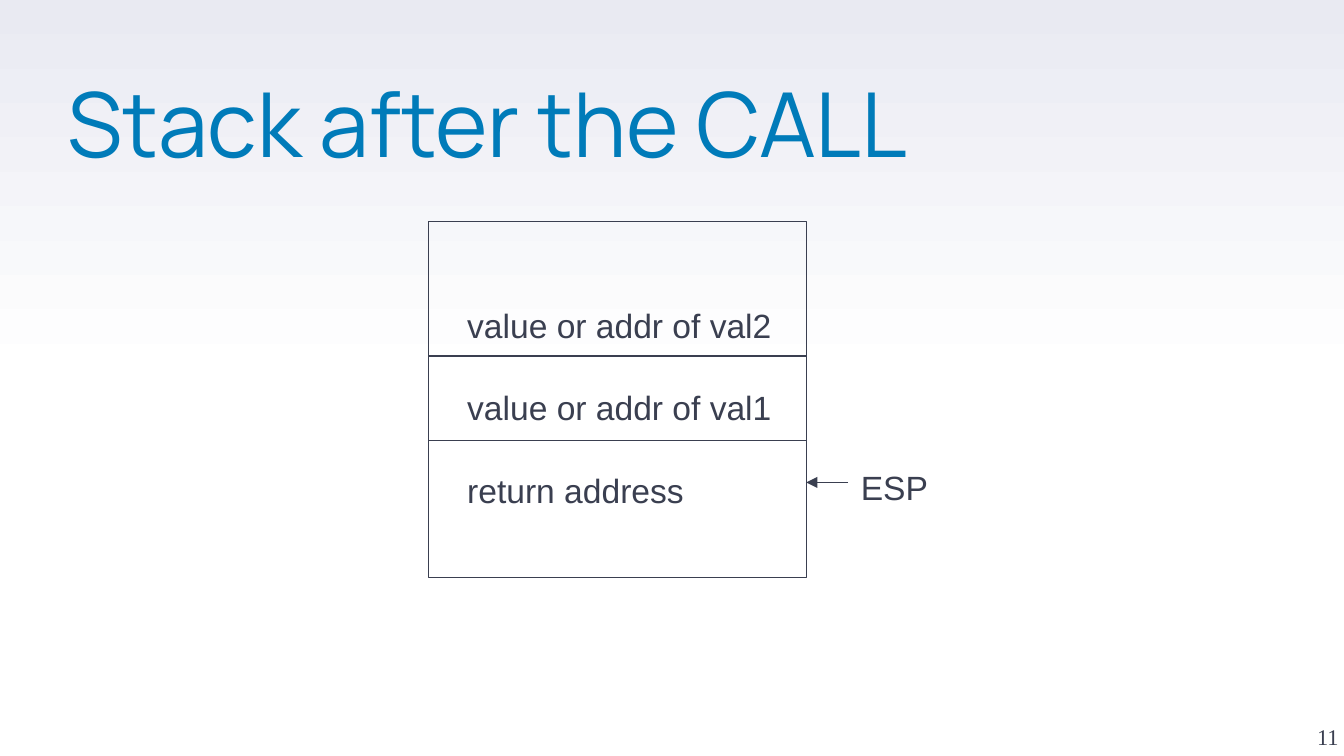
"""Build a slide that shows the stack after a CALL instruction."""
from lxml.etree import SubElement
from pptx import Presentation
from pptx.dml.color import RGBColor
from pptx.enum.shapes import MSO_CONNECTOR as CONN, MSO_SHAPE as SHAPE
from pptx.enum.text import MSO_ANCHOR as ANCHOR, MSO_AUTO_SIZE as AUTO, PP_ALIGN as ALIGN
from pptx.oxml.ns import qn
from pptx.util import Cm, Pt

BLUE = RGBColor(0x00, 0x7B, 0xB9)
INK = RGBColor(0x3A, 0x3F, 0x50)
WHITE = RGBColor(0xFF, 0xFF, 0xFF)
LAVENDER = RGBColor(0xE9, 0xEA, 0xF2)

HEADING = {"name": "Manrope", "size": Pt(48)}
BODY = {"name": "Arial", "size": Pt(18)}
NUMBER = {"name": "Times New Roman", "size": Pt(12)}


class StackSlide:
    def __init__(self, prs):
        self.s = prs.slides.add_slide(prs.slide_layouts[5])
        self.line_width = Pt(0.75)

    def background(self):
        fill = self.s.background.fill
        fill.gradient()
        fill.gradient_angle = 90
        for stop, pos, color in zip(fill.gradient_stops, (0.5, 1), (WHITE, LAVENDER)):
            stop.position = pos
            stop.color.rgb = color

    def fill_text(self, sp, lines, font, color=INK, anchor=ANCHOR.TOP, wrap=True, **para):
        tf = sp.text_frame
        frame = {"word_wrap": wrap, "auto_size": AUTO.NONE, "vertical_anchor": anchor,
                 "margin_left": 0, "margin_top": 0, "margin_right": 0, "margin_bottom": 0}
        for key, value in frame.items():
            setattr(tf, key, value)
        tf.text = "\n".join(lines)
        for p in tf.paragraphs:
            for key, value in para.items():
                setattr(p, key, value)
            r = p.runs[0]
            for key, value in font.items():
                setattr(r.font, key, value)
            r.font.color.rgb = color

    def title(self, text, x, y, w, h):
        sp = self.s.shapes.title
        sp.left, sp.top, sp.width, sp.height = Cm(x), Cm(y), Cm(w), Cm(h)
        self.fill_text(sp, [text], HEADING, BLUE, alignment=ALIGN.LEFT, line_spacing=0.8)

    def text(self, lines, x, y, w, h, font=BODY, **style):
        sp = self.s.shapes.add_textbox(Cm(x), Cm(y), Cm(w), Cm(h))
        self.fill_text(sp, lines, font, **style)

    def box(self, x, y, w, h):
        sp = self.s.shapes.add_shape(SHAPE.RECTANGLE, Cm(x), Cm(y), Cm(w), Cm(h))
        sp.shadow.inherit = False
        sp.fill.background()
        sp.line.color.rgb = INK
        sp.line.width = self.line_width

    def line(self, x1, x2, y, arrow=False):
        cxn = self.s.shapes.add_connector(CONN.STRAIGHT, Cm(x1), Cm(y), Cm(x2), Cm(y))
        cxn.line.color.rgb = INK
        cxn.line.width = self.line_width
        sp_pr = cxn._element.spPr
        if arrow:
            SubElement(sp_pr.find(qn("a:ln")), qn("a:tailEnd"), type="triangle")
        SubElement(sp_pr, qn("a:effectLst"))


def main():
    prs = Presentation()
    prs.slide_width, prs.slide_height = Cm(25.4), Cm(14.29)
    slide = StackSlide(prs)
    slide.background()
    slide.title("Stack after the CALL", 1.27, 1.68, 22.76, 3)
    slide.text(["11"], 24.03, 12.88, 1.27, 1.3, NUMBER,
               anchor=ANCHOR.BOTTOM, alignment=ALIGN.RIGHT)

    left, top, width, height = 8.1, 4.19, 7.14, 6.73
    right = left + width
    entries = ["value or addr of val2", "value or addr of val1", "return address"]
    slide.text(entries, 8.83, 5.76, 6.2, 3.9, wrap=False, space_after=Pt(22.7))
    slide.text(["ESP"], 16.27, 8.82, 1.5, 0.75, wrap=False)
    slide.box(left, top, width, height)
    for y in (6.73, 8.33):
        slide.line(left, right, y)
    slide.line(16.03, right, 9.12, arrow=True)
    prs.save("out.pptx")


if __name__ == "__main__":
    main()
